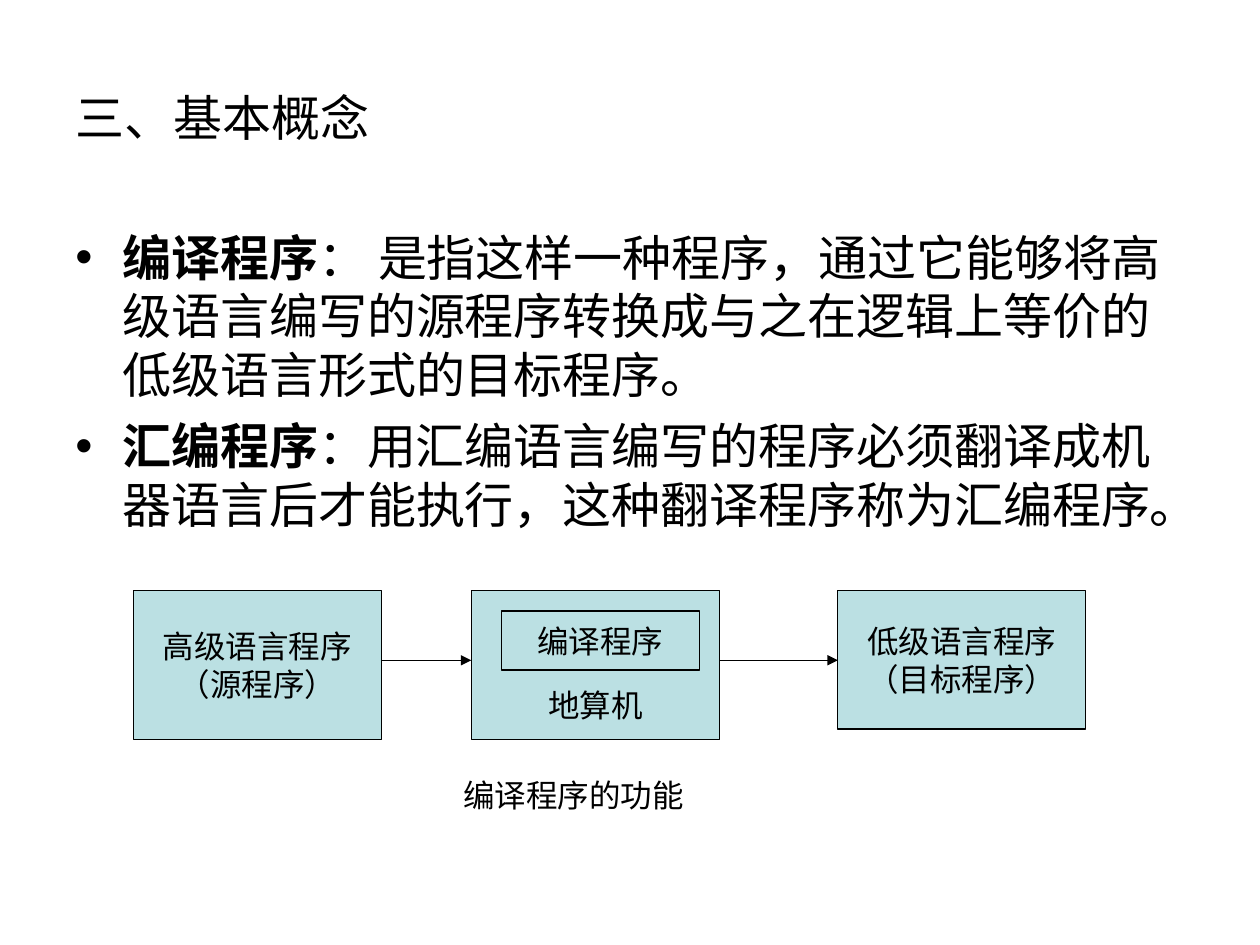
from lxml import etree
from pptx import Presentation
from pptx.dml.color import RGBColor
from pptx.enum.shapes import MSO_CONNECTOR, MSO_SHAPE
from pptx.enum.text import MSO_ANCHOR, MSO_AUTO_SIZE, PP_ALIGN
from pptx.oxml.ns import qn
from pptx.util import Cm, Pt

LEFT, CENTER = PP_ALIGN.LEFT, PP_ALIGN.CENTER
TOP, MIDDLE, BOTTOM = MSO_ANCHOR.TOP, MSO_ANCHOR.MIDDLE, MSO_ANCHOR.BOTTOM
BLACK, PALE_BLUE = "000000", "BBE0E3"
HEADING_SIZE, LABEL_SIZE = 28, 18

TITLE = "三、基本概念"
# Term, colon and definition with the font of each run
DEFINITIONS = [
    [("编译程序", "Arial", True), ("：", "Arial", False),
     (" 是指这样一种程序，通过它能够将高级语言编写的源程序转换成与之在逻辑上等价的低级语言形式的目标程序。",
      "Times New Roman", False)],
    [("汇编程序", "Times New Roman", True),
     ("：用汇编语言编写的程序必须翻译成机器语言后才能执行，这种翻译程序称为汇编程序。",
      "Times New Roman", False)],
]
CAPTION = "编译程序的功能"

# Flow chart in centimetres: lines of text, left, height, anchor
STAGE_TOP, STAGE_WIDTH, ARROW_Y = 11.91, 5, 13.31
STAGES = [
    (["高级语言程序", "（源程序）"], 2.69, 3, MIDDLE),
    (["地算机"], 9.5, 3, BOTTOM),
    (["低级语言程序", "（目标程序）"], 16.89, 2.79, MIDDLE),
]
COMPILER = (["编译程序"], (10.11, 12.32, 3.99, 1.19))


def color(hex_code):
    return RGBColor.from_string(hex_code)


def lengths(values):
    return [Cm(value) for value in values]


def plain(text, font="Arial"):
    return [(text, font, False)]


def write(shape, paragraphs, size=LABEL_SIZE, align=LEFT, anchor=TOP,
          wrap=True, space_before=0, bullet_indent=None, bottom=0.13):
    """Fill a shape with paragraphs, each a list of (text, font, bold) runs."""
    frame = shape.text_frame
    frame.auto_size = MSO_AUTO_SIZE.NONE
    frame.word_wrap = wrap
    frame.vertical_anchor = anchor
    frame.margin_left = frame.margin_right = Cm(0.25)
    frame.margin_top, frame.margin_bottom = Cm(0.13), Cm(bottom)
    for index, runs in enumerate(paragraphs):
        para = frame.add_paragraph() if index else frame.paragraphs[0]
        para.alignment = align
        para.space_before = Pt(space_before if index else 0)
        if bullet_indent:
            add_bullet(para, bullet_indent)
        for text, font, bold in runs:
            span = para.add_run()
            span.text = text
            span.font.name, span.font.size, span.font.bold = font, Pt(size), bold
            span.font.color.rgb = color(BLACK)


def add_bullet(para, indent):
    properties = para._p.get_or_add_pPr()
    properties.set("marL", str(Cm(indent)))
    properties.set("indent", str(-Cm(indent)))
    etree.SubElement(properties, qn("a:buFont"), typeface="Arial")
    etree.SubElement(properties, qn("a:buChar"), char="•")


def add_stage(page, lines, place, **text_format):
    box = page.shapes.add_shape(MSO_SHAPE.RECTANGLE, *lengths(place))
    box.shadow.inherit = False
    box.fill.solid()
    box.fill.fore_color.rgb = color(PALE_BLUE)
    box.line.color.rgb = color(BLACK)
    box.line.width = Pt(0.75)
    write(box, [plain(line, "DejaVu Sans") for line in lines],
          align=CENTER, wrap=False, **text_format)


def add_arrow(page, start, end, y):
    arrow = page.shapes.add_connector(
        MSO_CONNECTOR.STRAIGHT, *lengths((start, y, end, y)))
    arrow.line.color.rgb = color(BLACK)
    arrow.line.width = Pt(0.75)
    etree.SubElement(arrow.line._get_or_add_ln(), qn("a:tailEnd"), type="triangle")
    etree.SubElement(arrow._element.spPr, qn("a:effectLst"))


def add_text(page, place, paragraphs, **text_format):
    write(page.shapes.add_textbox(*lengths(place)), paragraphs, **text_format)


def main():
    deck = Presentation()
    deck.slide_width, deck.slide_height = Cm(25.4), Cm(19.05)
    page = deck.slides.add_slide(deck.slide_layouts[5])

    title = page.shapes.title
    title.left, title.top, title.width, title.height = lengths((1.27, 0.76, 22.86, 3.18))
    write(title, [plain(TITLE)], size=HEADING_SIZE, anchor=MIDDLE)
    add_text(page, (1.27, 4.45, 22.43, 6.99), DEFINITIONS,
             size=HEADING_SIZE, space_before=7, bullet_indent=0.95)

    for lines, left, height, anchor in STAGES:
        add_stage(page, lines, (left, STAGE_TOP, STAGE_WIDTH, height),
                  anchor=anchor, bottom=0.32 if anchor == BOTTOM else 0.13)
    add_stage(page, *COMPILER, anchor=MIDDLE)

    lefts = [left for _, left, _, _ in STAGES]
    for left, following in zip(lefts, lefts[1:]):
        add_arrow(page, left + STAGE_WIDTH, following, ARROW_Y)
    add_text(page, (9.09, 15.52, 6.2, 1.02), [plain(CAPTION)])

    deck.save("out.pptx")


if __name__ == "__main__":
    main()
